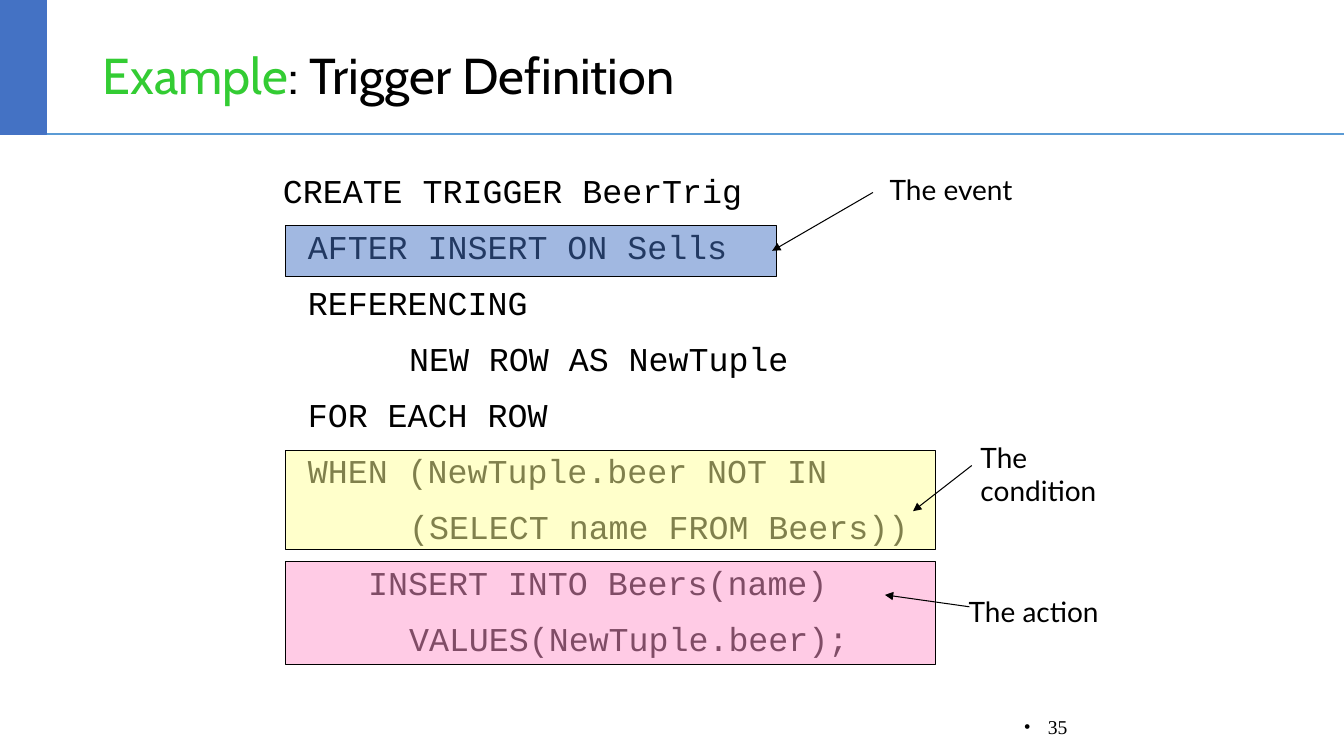
from lxml import etree
from pptx import Presentation
from pptx import util as u
from pptx.dml.color import RGBColor
from pptx.enum import shapes, text
from pptx.oxml import ns

COLORS = {
    "accent": "4472C4", "rule": "5B9BD5", "green": "33CC33", "black": "000000",
    "yellow": "FFFF99", "pink": "FF99CC",
}


class SlideBuilder:
    def __init__(self, page):
        self.page = page

    def color(self, name):
        return RGBColor.from_string(COLORS[name])

    def rect(self, left, top, width, height, fill, line, weight, opacity=None):
        box = self.page.shapes.add_shape(
            shapes.MSO_SHAPE.RECTANGLE, *map(u.Cm, (left, top, width, height)))
        box.shadow.inherit = False
        box.fill.solid()
        box.fill.fore_color.rgb = self.color(fill)
        box.line.color.rgb = self.color(line)
        box.line.width = u.Pt(weight)
        if opacity is not None:
            tone = box._element.spPr.find(ns.qn("a:solidFill")).find(ns.qn("a:srgbClr"))
            etree.SubElement(tone, ns.qn("a:alpha"), val=str(opacity * 1000))

    def line(self, start, end, color, weight, arrow=False):
        link = self.page.shapes.add_connector(
            shapes.MSO_CONNECTOR.STRAIGHT, *map(u.Cm, (*start, *end)))
        link.line.color.rgb = self.color(color)
        link.line.width = u.Pt(weight)
        if arrow:
            outline = link._element.spPr.find(ns.qn("a:ln"))
            etree.SubElement(outline, ns.qn("a:tailEnd"), type="triangle")
        etree.SubElement(link._element.spPr, ns.qn("a:effectLst"))

    def text_box(self, left, top, width, height, anchor=text.MSO_ANCHOR.TOP):
        box = self.page.shapes.add_textbox(*map(u.Cm, (left, top, width, height)))
        box.text_frame.word_wrap = True
        box.text_frame.vertical_anchor = anchor
        return box.text_frame

    def span(self, para, words, font, size, color="black"):
        span = para.add_run()
        span.text = words
        span.font.name = font
        span.font.size = u.Pt(size)
        span.font.color.rgb = self.color(color)

    def indent(self, para, margin, first=0, bullet=None):
        props = para._p.get_or_add_pPr()
        props.set("marL", str(u.Cm(margin)))
        props.set("indent", str(u.Cm(first)))
        if bullet:
            etree.SubElement(props, ns.qn("a:buFont"), typeface="Times New Roman")
            etree.SubElement(props, ns.qn("a:buChar"), char=bullet)

    def title(self, spans):
        para = self.text_box(2.34, 0.56, 29.21, 2.82, text.MSO_ANCHOR.MIDDLE).paragraphs[0]
        para.line_spacing = 0.9
        for words, color in spans:
            self.span(para, words, "Cabin", 36, color)

    def code(self, lines):
        frame = self.text_box(6.88, 4.11, 24.66, 13.06)
        for number, (margin, words) in enumerate(lines):
            para = frame.add_paragraph() if number else frame.paragraphs[0]
            para.line_spacing = 1.05
            para.space_before = u.Pt(10)
            self.indent(para, margin)
            self.span(para, words, "Courier New", 23.8)

    def callout(self, words, area, fill, label, start, end):
        self.rect(*area, fill, "black", 0.75, opacity=50)
        self.span(self.text_box(*label).paragraphs[0], words, "Lato", 20)
        self.line(start, end, "black", 0.75, arrow=True)

    def page_number(self, number):
        para = self.text_box(25.37, 17.81, 1.78, 1.02, text.MSO_ANCHOR.MIDDLE).paragraphs[0]
        para.alignment = text.PP_ALIGN.RIGHT
        self.indent(para, 0.6, -0.6, "•")
        self.span(para, number, "Times New Roman", 14)


deck = Presentation()
deck.slide_width, deck.slide_height = u.Cm(33.87), u.Cm(19.05)
slide = SlideBuilder(deck.slides.add_slide(deck.slide_layouts[6]))

slide.line((0, 3.38), (33.87, 3.38), "rule", 1)
slide.rect(0, 0, 1.17, 3.38, "accent", "accent", 1)
slide.page_number("35")
slide.title([("Example", "green"), (": Trigger Definition", "black")])

CLAUSE, ACTION, NESTED = 0.63, 2.15, 3.18
slide.code([
    (0, "CREATE TRIGGER BeerTrig"),
    (CLAUSE, "AFTER INSERT ON Sells"),
    (CLAUSE, "REFERENCING"),
    (NESTED, "NEW ROW AS NewTuple"),
    (CLAUSE, "FOR EACH ROW"),
    (CLAUSE, "WHEN (NewTuple.beer NOT IN"),
    (NESTED, "(SELECT name FROM Beers))"),
    (ACTION, "INSERT INTO Beers(name)"),
    (NESTED, "VALUES(NewTuple.beer);"),
])

slide.callout("The event", (7.19, 5.69, 12.37, 1.27), "accent",
              (22.17, 4.22, 4.2, 1.1), (22, 4.85), (19.46, 6.32))
slide.callout("The condition", (7.19, 11.35, 16.38, 2.49), "yellow",
              (24.46, 10.97, 3.9, 2), (24.49, 11.73), (23.01, 12.88))
slide.callout("The action", (7.19, 14.15, 16.38, 2.59), "pink",
              (24.16, 14.86, 4.2, 1.1), (24.43, 15.29), (22.3, 14.99))

deck.save("out.pptx")
